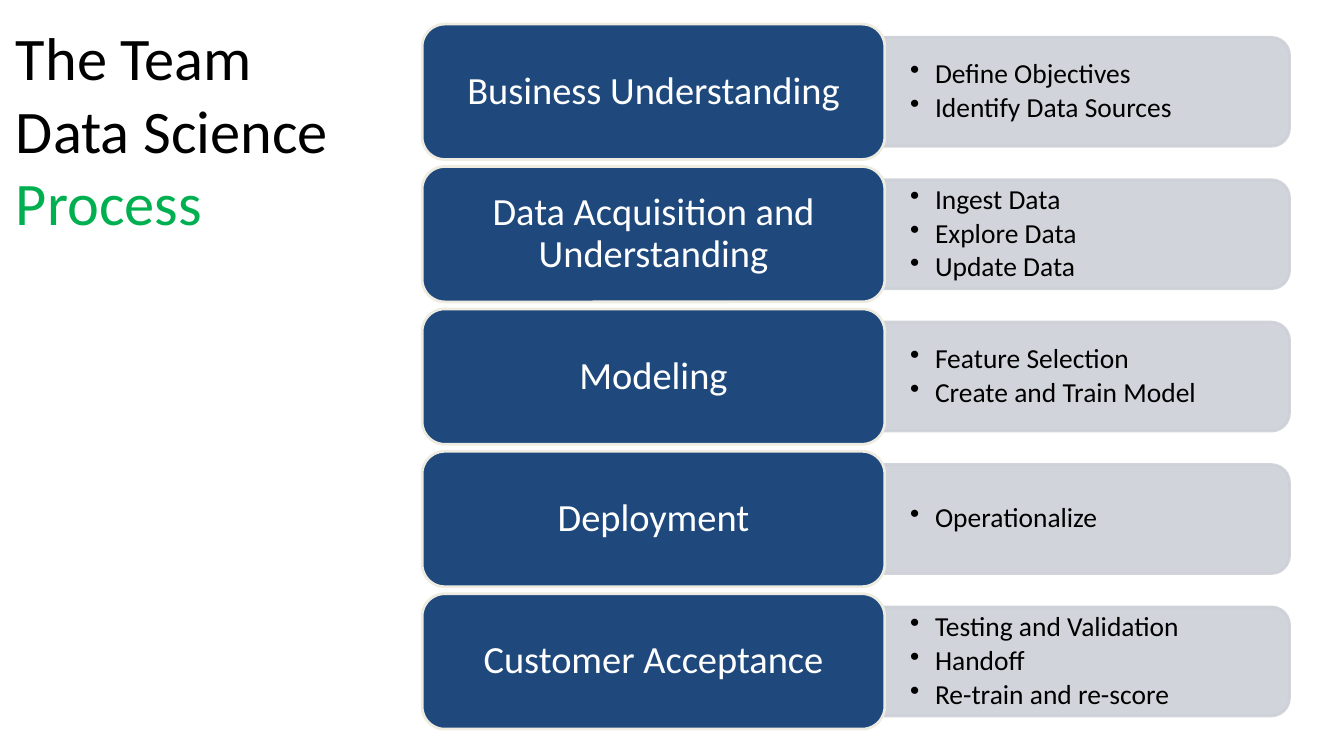
import pptx
import pptx.dml.color
import pptx.enum.shapes
import pptx.enum.text
import pptx.util
from lxml import etree
from pptx.oxml.ns import qn

Cm = pptx.util.Cm
Pt = pptx.util.Pt
RGBColor = pptx.dml.color.RGBColor
SHAPES = pptx.enum.shapes.MSO_SHAPE
MIDDLE = pptx.enum.text.MSO_ANCHOR.MIDDLE
CENTER = pptx.enum.text.PP_ALIGN.CENTER

FONT = "Calibri"
BLACK = RGBColor(0x00, 0x00, 0x00)
WHITE = RGBColor(0xFF, 0xFF, 0xFF)
GREEN = RGBColor(0x00, 0xB0, 0x50)
NAVY = RGBColor(0x1F, 0x49, 0x7D)
CREAM = RGBColor(0xEE, 0xEC, 0xE1)
GREY = RGBColor(0xCD, 0xD0, 0xD7)

STAGES = [
    ("Business Understanding", ["Define Objectives", "Identify Data Sources"]),
    ("Data Acquisition and Understanding", ["Ingest Data", "Explore Data", "Update Data"]),
    ("Modeling", ["Feature Selection", "Create and Train Model"]),
    ("Deployment", ["Operationalize"]),
    ("Customer Acceptance", ["Testing and Validation", "Handoff", "Re-train and re-score"]),
]
STAGE_LEFT, STAGE_WIDTH, STAGE_HEIGHT = Cm(10.85), Cm(11.89), Cm(3.48)
FIRST_TOP, STAGE_PITCH = Cm(0.62), Cm(3.66)
STEPS_LEFT, STEPS_WIDTH, STEPS_HEIGHT = Cm(22.7), Cm(10.44), Cm(2.8)


def paint(shape, fill, line):
    shape.shadow.inherit = False
    shape.fill.solid()
    shape.fill.fore_color.rgb = fill
    shape.line.color.rgb = line
    shape.line.width = Pt(2)


def set_text_frame(frame, side, end):
    """Wrap the text and set its side margins and its top and bottom margins."""
    frame.word_wrap = True
    frame.margin_left = frame.margin_right = Cm(side)
    frame.margin_top = frame.margin_bottom = Cm(end)
    return frame


presentation = pptx.Presentation()
presentation.slide_width = Cm(34.54)
presentation.slide_height = Cm(19.43)
slide = presentation.slides.add_slide(presentation.slide_layouts[6])

title = slide.shapes.add_textbox(Cm(0), Cm(0.28), Cm(9.8), Cm(5.74))
heading = set_text_frame(title.text_frame, 0.41, 0.25).paragraphs[0]
heading.font.name = FONT
heading.font.size = Pt(44)
for words, color in [("The Team Data Science ", BLACK), ("Process", GREEN)]:
    run = heading.add_run()
    run.text = words
    run.font.color.rgb = color

for row, (stage_name, step_names) in enumerate(STAGES):
    stage_top = FIRST_TOP + row * STAGE_PITCH
    steps_top = stage_top + (STAGE_HEIGHT - STEPS_HEIGHT) // 2

    # The panel is upright before its quarter turn, so its sides are swapped
    turn_offset = (STEPS_WIDTH - STEPS_HEIGHT) // 2
    panel = slide.shapes.add_shape(
        SHAPES.ROUND_2_SAME_RECTANGLE, STEPS_LEFT + turn_offset,
        steps_top - turn_offset, STEPS_HEIGHT, STEPS_WIDTH)
    panel.rotation = 90
    paint(panel, GREY, GREY)
    for color in panel.fill._xPr.iter(qn("a:srgbClr")):
        etree.SubElement(color, qn("a:alpha"), val="90000")

    steps = slide.shapes.add_textbox(STEPS_LEFT, steps_top, STEPS_WIDTH, STEPS_HEIGHT)
    steps_frame = set_text_frame(steps.text_frame, 0.69, 0.36)
    steps_frame.vertical_anchor = MIDDLE
    steps_frame.text = "\n".join(step_names)
    for step in steps_frame.paragraphs:
        properties = step._p.get_or_add_pPr()
        properties.set("marL", str(Cm(0.64)))
        properties.set("indent", str(-Cm(0.64)))
        etree.SubElement(properties, qn("a:buChar"), char="•")
        step.line_spacing = 0.9
        step.space_after = Pt(3)
        step.font.name = FONT
        step.font.size = Pt(20)
        step.font.color.rgb = BLACK

    stage = slide.shapes.add_shape(
        SHAPES.ROUNDED_RECTANGLE, STAGE_LEFT, stage_top, STAGE_WIDTH, STAGE_HEIGHT)
    paint(stage, NAVY, CREAM)
    stage_frame = set_text_frame(stage.text_frame, 0.3, 0.15)
    stage_frame.vertical_anchor = MIDDLE
    stage_frame.text = stage_name
    label = stage_frame.paragraphs[0]
    label.alignment = CENTER
    label.line_spacing = 0.9
    label.font.name = FONT
    label.font.size = Pt(28)
    label.font.color.rgb = WHITE

presentation.save("out.pptx")
